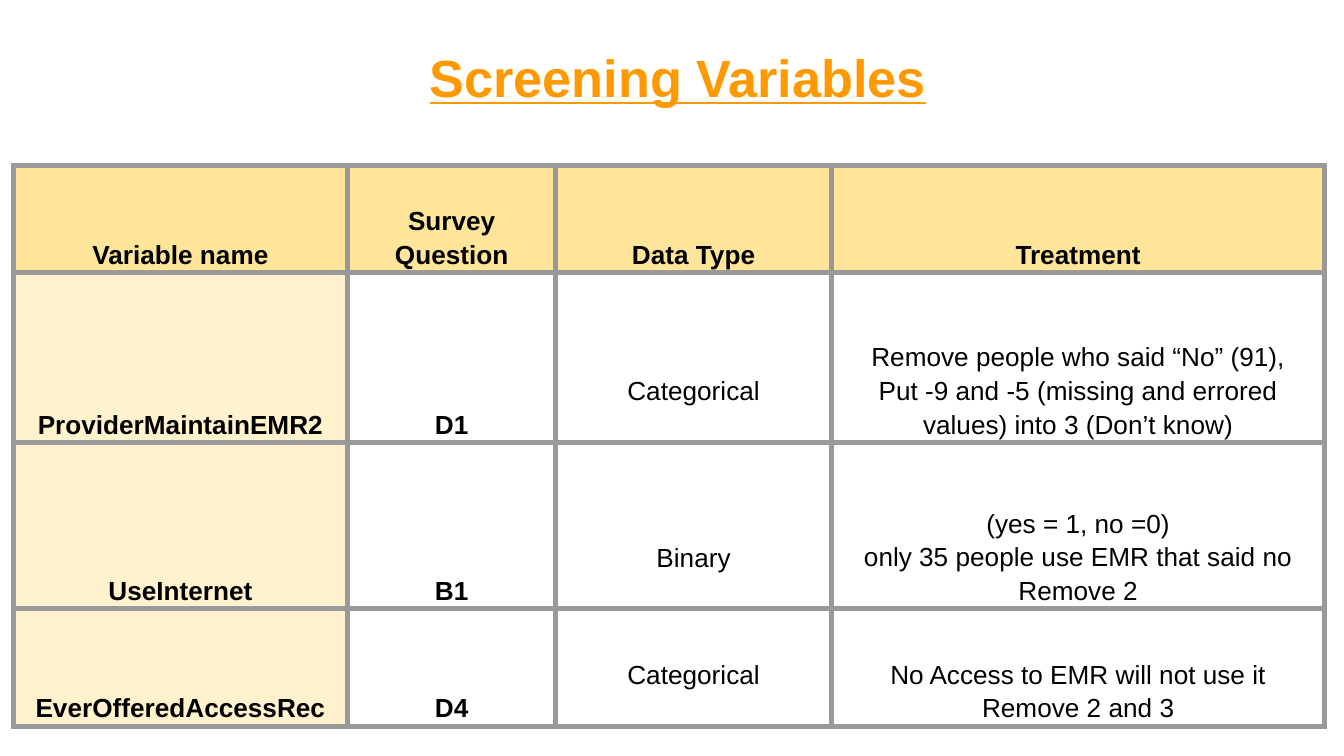
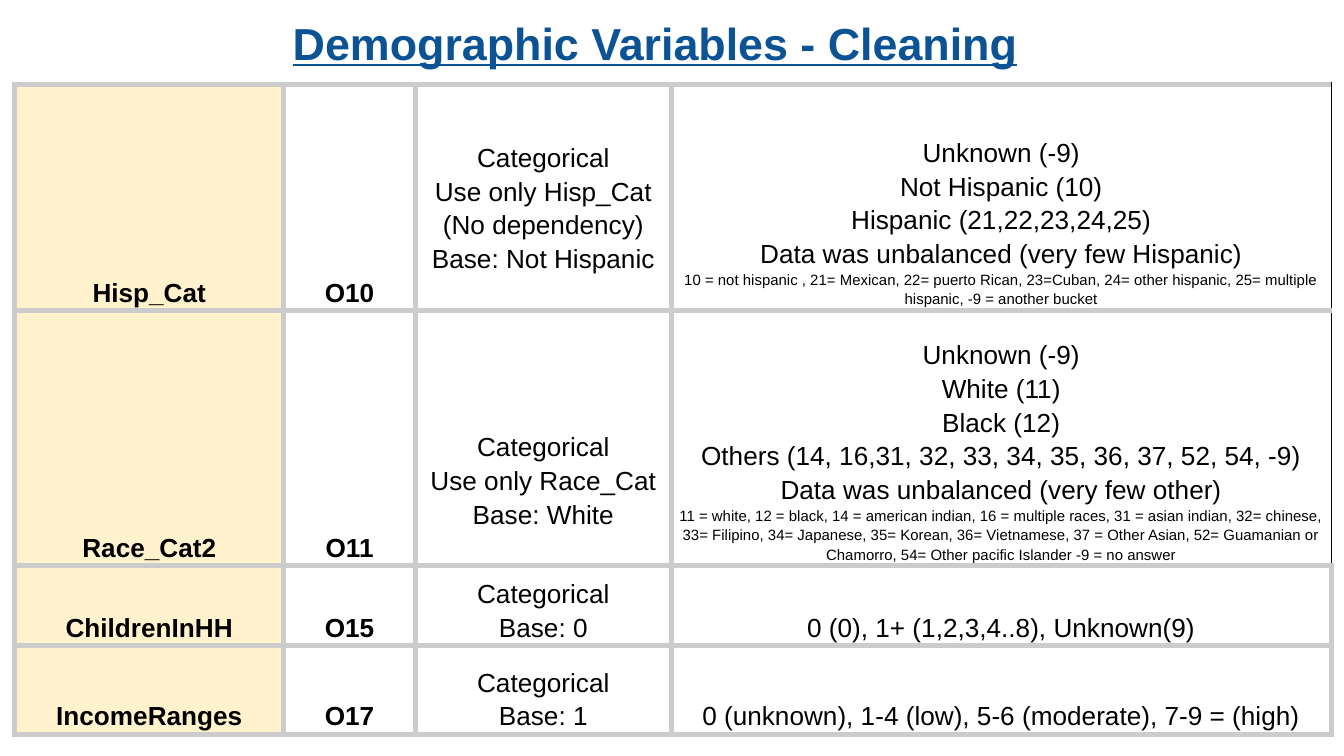
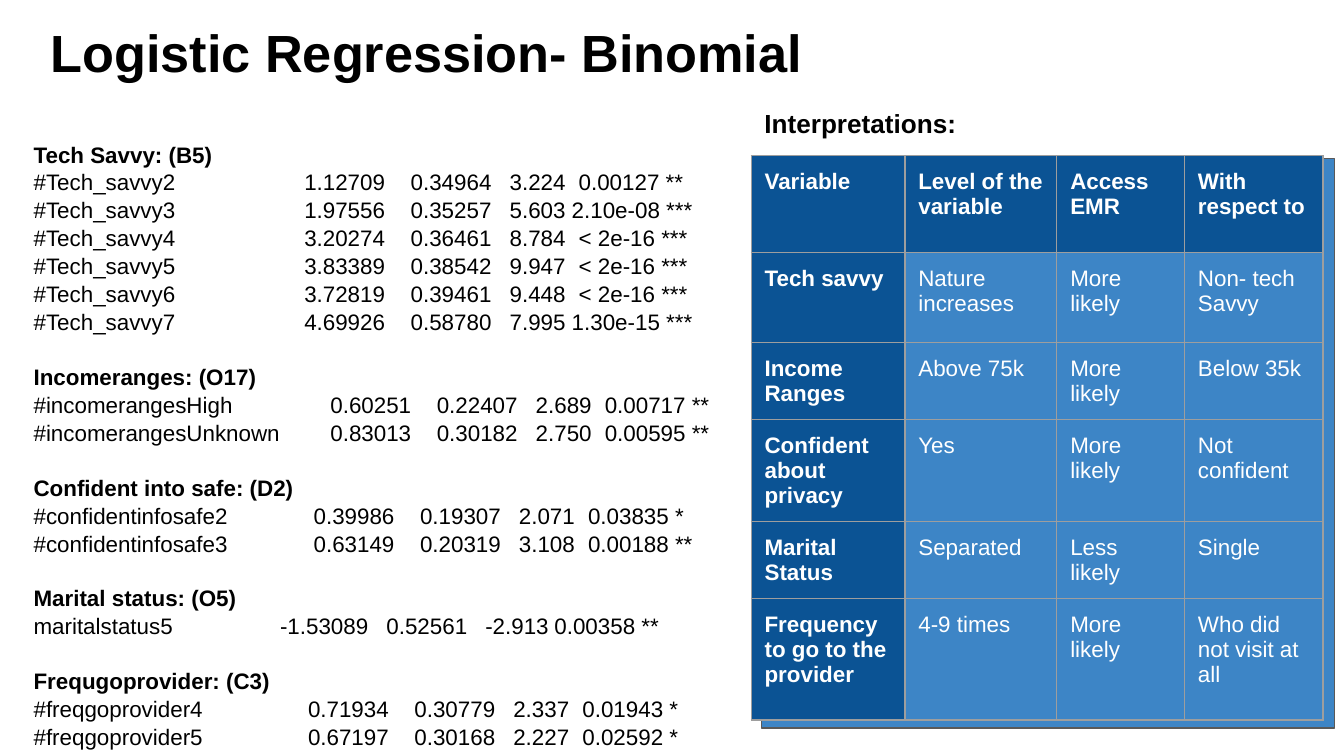
"""Build three slides on variable cleaning and regression results."""
from dataclasses import dataclass

from lxml import etree
from pptx import Presentation
from pptx.dml.color import RGBColor
from pptx.enum.shapes import MSO_SHAPE
from pptx.enum.text import MSO_ANCHOR, MSO_AUTO_SIZE, PP_ALIGN
from pptx.oxml.ns import qn
from pptx.util import Pt

LEFT, MID = PP_ALIGN.LEFT, PP_ALIGN.CENTER
TOP, CENTER, LOW = MSO_ANCHOR.TOP, MSO_ANCHOR.MIDDLE, MSO_ANCHOR.BOTTOM
NO_FIT = MSO_AUTO_SIZE.NONE
RECT = MSO_SHAPE.RECTANGLE

FONT = "Arial"
BLACK, WHITE = "000000", "FFFFFF"
ORANGE, NAVY, BLUE = "FF9900", "0B5394", "3D85C6"
GOLD, CREAM = "FFE599", "FFF2CC"
LIFT = 18
PAD = 7.2


@dataclass
class Look:
    """Style of one table."""
    line: str
    wide: float
    key: str
    head: str = ""
    bold: int = 2
    size: int = 14
    ink: str = BLACK
    side: float = 2.16
    edge: float = 1.44
    align: int = MID
    anchor: int = LOW
    space: float = 1.15


SCREEN = Look("999999", 3, CREAM, GOLD)
CLEAN = Look("CCCCCC", 3, CREAM)
RESULT = Look("9E9E9E", 0.75, NAVY, NAVY, bold=1, size=12, ink=WHITE,
              side=PAD, edge=PAD, align=LEFT, anchor=TOP, space=1)

SCREEN_ROWS = [
    ["Variable name", "Survey Question", "Data Type", "Treatment"],
    ["ProviderMaintainEMR2", "D1", "Categorical",
     "Remove people who said “No” (91),\n"
     "Put -9 and -5 (missing and errored values) into 3 (Don’t know)"],
    ["UseInternet", "B1", "Binary",
     "(yes = 1, no =0)\nonly 35 people use EMR that said no\nRemove 2"],
    ["EverOfferedAccessRec", "D4", "Categorical",
     "No Access to EMR will not use it\nRemove 2 and 3"],
]

CLEAN_ROWS = [
    ["Hisp_Cat", "O10",
     "Categorical\nUse only Hisp_Cat\n(No dependency)\nBase: Not Hispanic",
     "Unknown (-9)\nNot Hispanic (10)\nHispanic (21,22,23,24,25)\n"
     "Data was unbalanced (very few Hispanic)"],
    ["Race_Cat2", "O11", "Categorical\nUse only Race_Cat\nBase: White",
     "Unknown (-9)\nWhite (11)\nBlack (12)\n"
     "Others (14, 16,31, 32, 33, 34, 35, 36, 37, 52, 54, -9)\n"
     "Data was unbalanced (very few other)"],
    ["ChildrenInHH", "O15", "Categorical\nBase: 0",
     "0 (0), 1+ (1,2,3,4..8), Unknown(9)"],
    ["IncomeRanges", "O17", "Categorical\nBase: 1",
     "0 (unknown), 1-4 (low), 5-6 (moderate), 7-9 = (high)"],
]
NOTES = [
    "10 = not hispanic , 21= Mexican, 22= puerto Rican, 23=Cuban, "
    "24= other hispanic, 25= multiple hispanic, -9 = another bucket",
    "11 = white, 12 = black, 14 = american indian, 16 = multiple races, "
    "31 = asian indian, 32= chinese, 33= Filipino, 34= Japanese, 35= Korean, "
    "36= Vietnamese, 37 = Other Asian, 52= Guamanian or Chamorro, "
    "54= Other pacific Islander -9 = no answer",
]

RESULT_ROWS = [
    ["Variable", "Level of the variable", "Access EMR", "With respect to"],
    ["Tech savvy", "Nature increases", "More likely", "Non- tech Savvy"],
    ["Income Ranges", "Above 75k", "More likely", "Below 35k"],
    ["Confident about privacy", "Yes", "More likely", "Not confident"],
    ["Marital Status", "Separated", "Less likely", "Single"],
    ["Frequency to go to the provider", "4-9 times", "More likely",
     "Who did not visit at all"],
]

GROUPS = [
    ("Tech Savvy: (B5)", 145, [
        "#Tech_savvy2\t1.12709\t0.34964\t3.224\t0.00127 **",
        "#Tech_savvy3\t1.97556\t0.35257\t5.603 2.10e-08 ***",
        "#Tech_savvy4\t3.20274\t0.36461\t8.784\t< 2e-16 ***",
        "#Tech_savvy5\t3.83389\t0.38542\t9.947\t< 2e-16 ***",
        "#Tech_savvy6\t3.72819\t0.39461\t9.448\t< 2e-16 ***",
        "#Tech_savvy7\t4.69926\t0.58780\t7.995 1.30e-15 ***"]),
    ("Incomeranges: (O17)", 159, [
        "#incomerangesHigh\t0.60251\t0.22407\t2.689\t0.00717 **",
        "#incomerangesUnknown\t0.83013\t0.30182\t2.750\t0.00595 **"]),
    ("Confident into safe: (D2)", 150, [
        "#confidentinfosafe2\t0.39986\t0.19307\t2.071\t0.03835 *",
        "#confidentinfosafe3\t0.63149\t0.20319\t3.108\t0.00188 **"]),
    ("Marital status: (O5)", 132, [
        "maritalstatus5\t-1.53089\t0.52561\t-2.913\t0.00358 **"]),
    ("Frequgoprovider: (C3)", 147, [
        "#freqgoprovider4\t0.71934\t0.30779\t2.337\t0.01943 *",
        "#freqgoprovider5\t0.67197\t0.30168\t2.227\t0.02592 *"]),
]
STOPS = (0, 57, 110, 147)


def tint(code):
    """Turn a hex string into a colour."""
    return RGBColor.from_string(code)


def write(para, text, size, ink=BLACK, bold=False, under=False):
    """Add one styled run to a paragraph."""
    run = para.add_run()
    run.text = text
    font = run.font
    font.name, font.size, font.bold = FONT, Pt(size), bold
    font.underline = under
    font.color.rgb = tint(ink)


def next_para(frame):
    """Return the empty first paragraph or a new one."""
    first = frame.paragraphs[0]
    return frame.add_paragraph() if first.runs else first


def set_frame(frame, anchor=TOP, left=PAD):
    """Set wrap, anchor and insets of a text frame."""
    frame.word_wrap = True
    frame.auto_size = NO_FIT
    frame.vertical_anchor = anchor
    frame.margin_left = Pt(left)
    frame.margin_right = frame.margin_top = frame.margin_bottom = Pt(PAD)


def add_title(slide, box, text, size, ink, under=True):
    """Place and fill the title."""
    shape = slide.shapes.title
    shape.left, shape.top, shape.width, shape.height = map(Pt, box)
    set_frame(shape.text_frame, CENTER)
    para = shape.text_frame.paragraphs[0]
    para.alignment = LEFT
    write(para, text, size, ink, True, under)


def add_edge(cell, side, ink, wide):
    """Draw one border of a cell."""
    props = cell._tc.get_or_add_tcPr()
    line = etree.SubElement(props, qn(f"a:ln{side}"), w=str(Pt(wide)))
    fill = etree.SubElement(line, qn("a:solidFill"))
    etree.SubElement(fill, qn("a:srgbClr"), val=ink)


def paint(cell, code):
    """Fill a cell, or clear it when there is no colour."""
    if code:
        cell.fill.solid()
        cell.fill.fore_color.rgb = tint(code)
    else:
        cell.fill.background()


def add_grid(slide, spot, cols, highs, rows, look, lift=(), notes=()):
    """Build a table; lift raises the third cell, notes end the last one."""
    frame = slide.shapes.add_table(len(rows), len(cols), *map(
        Pt, (*spot, sum(cols), sum(highs))))
    grid = frame.table
    grid.first_row = grid.horz_banding = False
    for col, wide in zip(grid.columns, cols):
        col.width = Pt(wide)
    for row, high in zip(grid.rows, highs):
        row.height = Pt(high)
    for i, row in enumerate(rows):
        for j, text in enumerate(row):
            cell = grid.cell(i, j)
            top = bool(look.head) and i == 0
            note = notes[i] if j == len(cols) - 1 and i < len(notes) else ""
            for side in "LRTB":
                thin = note and side == "R"
                add_edge(cell, side, BLACK if thin else look.line,
                         0.75 if thin else look.wide)
            paint(cell, look.head if top else look.key if j == 0 else "")
            cell.vertical_anchor = look.anchor
            cell.margin_left = cell.margin_right = Pt(look.side)
            cell.margin_top = Pt(look.edge)
            high = LIFT if j == 2 and i in lift else 0
            cell.margin_bottom = Pt(look.edge + high)
            parts = [(part, look.size) for part in text.split("\n")]
            if note:
                parts.append((note, 8))
            for part, size in parts:
                para = next_para(cell.text_frame)
                para.alignment = look.align
                para.line_spacing = look.space
                write(para, part, size, look.ink, top or j < look.bold)


def add_tabs(para, start):
    """Set the tab stops of a row of figures."""
    tabs = etree.SubElement(para._p.get_or_add_pPr(), qn("a:tabLst"))
    for stop in STOPS:
        etree.SubElement(tabs, qn("a:tab"), pos=str(Pt(start + stop)), algn="l")


def add_stats(slide, box):
    """Write the groups of regression figures."""
    frame = slide.shapes.add_textbox(*map(Pt, box)).text_frame
    set_frame(frame, left=PAD + 36)
    for i, (name, start, lines) in enumerate(GROUPS):
        head = next_para(frame)
        head.line_spacing = 1.04
        head.space_before = Pt(14.4 if i else 0)
        write(head, name, 12, bold=True)
        for line in lines:
            para = frame.add_paragraph()
            para.line_spacing = 1.04
            add_tabs(para, start)
            write(para, line, 12)


def add_panel(slide, box):
    """Place the label, backing panel and table of readings."""
    left, top, wide, high = box
    label = slide.shapes.add_textbox(*map(Pt, (left, top, 249, 34)))
    set_frame(label.text_frame)
    write(label.text_frame.paragraphs[0], "Interpretations:", 14, bold=True)
    back = slide.shapes.add_shape(
        RECT, *map(Pt, (left + 5.6, top + 34.4, wide, high)))
    back.shadow.inherit = False
    back.fill.solid()
    back.fill.fore_color.rgb = tint(BLUE)
    back.line.color.rgb = tint("595959")
    back.line.width = Pt(0.75)
    add_grid(slide, (left, top + 33), (82.4, 81.4, 68.4, 74.2),
             (52, 48, 41, 54.6, 41, 65), RESULT_ROWS, RESULT)


def show_screen(slide):
    """Build the slide of screening variables."""
    add_title(slide, (223, 18, 356, 46), "Screening Variables", 28, ORANGE)
    add_grid(slide, (7.2, 88.4), (179, 111.6, 147.6, 264.4),
             (57.8, 91, 89, 62.8), SCREEN_ROWS, SCREEN, lift=(1, 2, 3))


def show_clean(slide):
    """Build the slide of demographic variables."""
    add_title(slide, (149.6, 0, 421, 45.4), "Demographic Variables - Cleaning",
              24, NAVY)
    add_grid(slide, (8, 45.4), (144, 70.6, 137, 353.6),
             (121, 136.8, 42.6, 47.6), CLEAN_ROWS, CLEAN,
             lift=(0, 1), notes=NOTES)


def show_model(slide):
    """Build the slide of regression results."""
    add_title(slide, (20, 5, 451.4, 45.4), "Logistic Regression- Binomial",
              28, BLACK, under=False)
    add_stats(slide, (-25.2, 67.6, 427.6, 347.8))
    add_panel(slide, (402.4, 50.4, 306.8, 305.2))


def main():
    """Build and save the deck."""
    deck = Presentation()
    deck.slide_width, deck.slide_height = Pt(720), Pt(405)
    for show in (show_screen, show_clean, show_model):
        show(deck.slides.add_slide(deck.slide_layouts[5]))
    deck.save("out.pptx")


if __name__ == "__main__":
    main()
